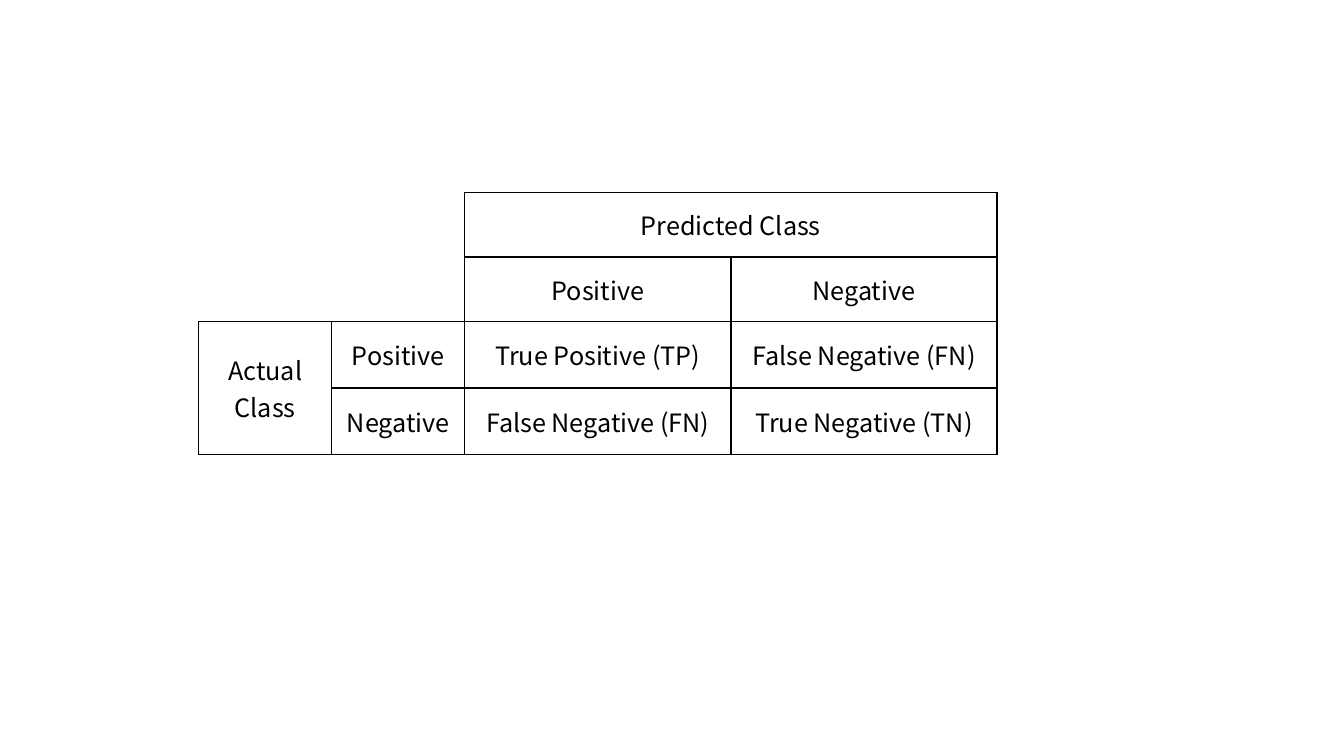
from lxml import etree
from pptx import Presentation
from pptx.dml.color import RGBColor
from pptx.enum import text
from pptx.oxml import ns
from pptx.util import Inches, Pt

COLORS = {"ink": "000000"}
FONT = "Noto Sans CJK KR"
COL_WIDTHS = [1.32, 1.32, 2.64, 2.64]
ROW_HEIGHTS = [0.64, 0.64, 0.66, 0.66]
LABELS = [
    ["", "", "Predicted Class", ""],
    ["", "", "Positive", "Negative"],
    ["Actual Class", "Positive", "True Positive (TP)", "False Negative (FN)"],
    ["", "Negative", "False Negative (FN)", "True Negative (TN)"],
]
MERGES = [((0, 0), (1, 1)), ((0, 2), (0, 3)), ((2, 0), (3, 0))]


def add_border(cell, side, visible):
    ln = etree.SubElement(cell._tc.get_or_add_tcPr(), ns.qn(f"a:ln{side}"), w=str(Pt(1)))
    if visible:
        fill = etree.SubElement(ln, ns.qn("a:solidFill"))
        etree.SubElement(fill, ns.qn("a:srgbClr"), val=COLORS["ink"])
    else:
        etree.SubElement(ln, ns.qn("a:noFill"))


prs = Presentation()
prs.slide_width = Inches(13.33)
prs.slide_height = Inches(7.5)
s = prs.slides.add_slide(prs.slide_layouts[6])

table = s.shapes.add_table(
    len(ROW_HEIGHTS), len(COL_WIDTHS), Inches(1.97), Inches(1.91),
    Inches(sum(COL_WIDTHS)), Inches(sum(ROW_HEIGHTS))).table
table.first_row = False
table.horz_banding = False
for column, width in zip(table.columns, COL_WIDTHS):
    column.width = Inches(width)
for row, height in zip(table.rows, ROW_HEIGHTS):
    row.height = Inches(height)
for first, last in MERGES:
    table.cell(*first).merge(table.cell(*last))

for row, labels in enumerate(LABELS):
    for col, label in enumerate(labels):
        cell = table.cell(row, col)
        # The empty corner is open at the left and top
        in_corner = row < 2 and col < 2
        for side in "LRTB":
            add_border(cell, side, not in_corner or side in "RB")
        cell.fill.background()
        cell.vertical_anchor = text.MSO_ANCHOR.MIDDLE
        if label:
            cell.text = label
            p = cell.text_frame.paragraphs[0]
            p.alignment = text.PP_ALIGN.CENTER
            p.font.name = FONT
            p.font.size = Pt(18)
            p.font.color.rgb = RGBColor.from_string(COLORS["ink"])

prs.save("out.pptx")
